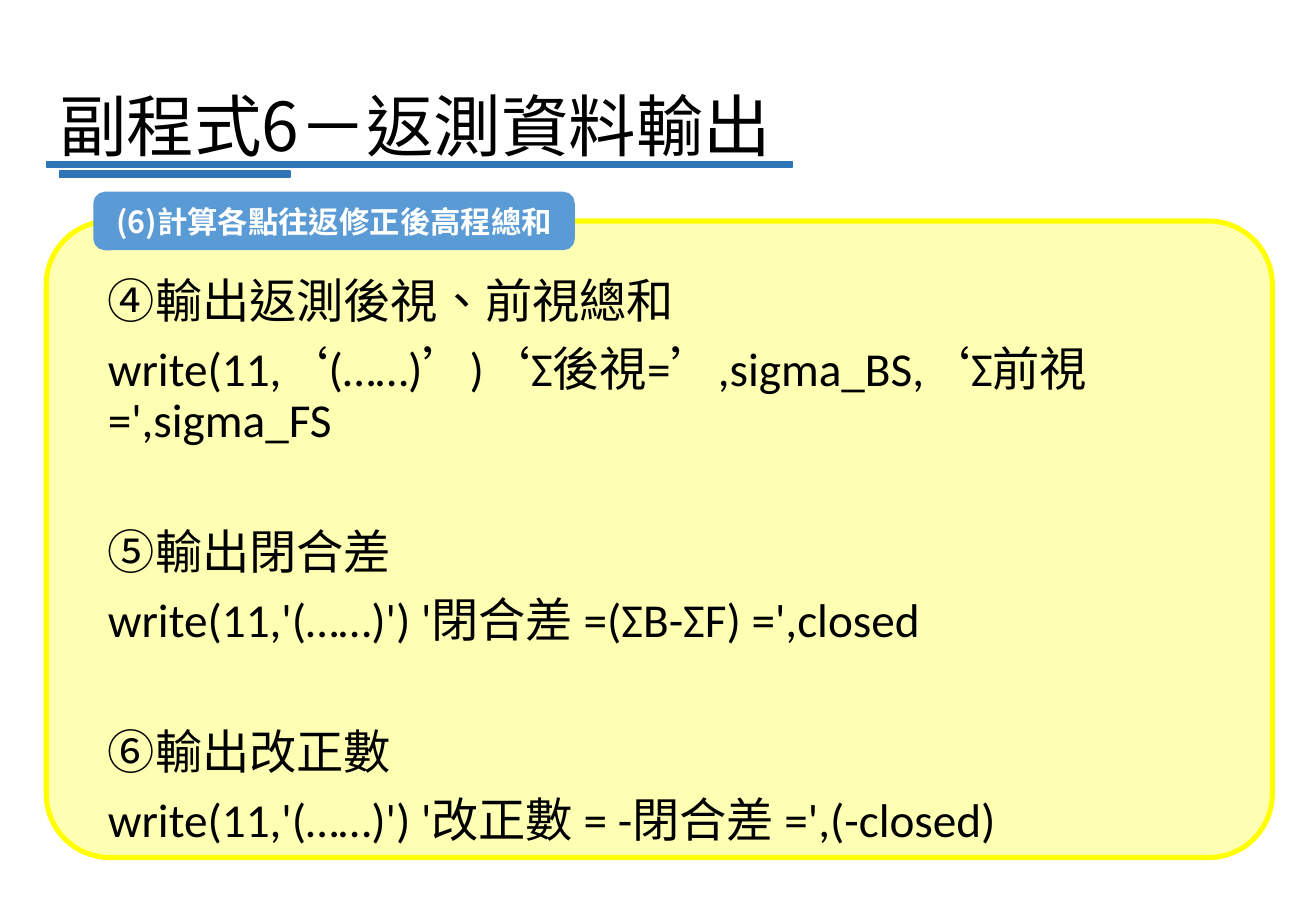
from typing import NamedTuple

from lxml.etree import SubElement
from pptx import Presentation
from pptx.dml.color import RGBColor
from pptx.enum.shapes import MSO_SHAPE
from pptx.enum.text import MSO_ANCHOR
from pptx.oxml.ns import qn
from pptx.shapes.autoshape import Shape
from pptx.slide import Slide
from pptx.text.text import _Paragraph
from pptx.util import Inches, Pt

SLIDE_WIDTH, SLIDE_HEIGHT = Inches(10.83), Inches(7.5)

BLACK = RGBColor(0x00, 0x00, 0x00)
WHITE = RGBColor(0xFF, 0xFF, 0xFF)
PALE_YELLOW = RGBColor(0xFF, 0xFF, 0xB3)
YELLOW = RGBColor(0xFF, 0xFF, 0x00)
DARK_BLUE = RGBColor(0x2E, 0x75, 0xB6)
BLUE = RGBColor(0x5B, 0x9B, 0xD5)

LATIN_FONT = "Calibri"
CHINESE_FONT = "Noto Sans CJK SC"


class Area(NamedTuple):
    """Left, top, width and height as percentages of the slide."""
    left: float
    top: float
    width: float
    height: float

    def lengths(self) -> tuple[int, int, int, int]:
        return (int(SLIDE_WIDTH * self.left / 100), int(SLIDE_HEIGHT * self.top / 100),
                int(SLIDE_WIDTH * self.width / 100), int(SLIDE_HEIGHT * self.height / 100))


class Block(NamedTuple):
    kind: MSO_SHAPE
    area: Area
    fill: RGBColor
    line: RGBColor
    line_width: float
    corner: float = 0


class Step(NamedTuple):
    heading: str
    statement: str


PANEL = Block(MSO_SHAPE.ROUNDED_RECTANGLE, Area(3.51, 24.27, 93.17, 69.87),
              PALE_YELLOW, YELLOW, 3, 0.1)
TAG = Block(MSO_SHAPE.ROUNDED_RECTANGLE, Area(7.29, 21.33, 36.2, 5.87),
            BLUE, BLUE, 3, 0.17)
UNDERLINES = [
    Block(MSO_SHAPE.RECTANGLE, Area(4.52, 18.8, 17.54, 0.67), DARK_BLUE, DARK_BLUE, 1),
    Block(MSO_SHAPE.RECTANGLE, Area(3.6, 17.73, 56.6, 0.67), DARK_BLUE, DARK_BLUE, 1),
]
TITLE_AREA = Area(3.6, 4.53, 93.17, 19.33)
BODY_AREA = Area(7.29, 29.87, 87.9, 59.33)

STEPS = [
    Step("④輸出返測後視、前視總和",
         "write(11,‘(……)’)‘Σ後視=’,sigma_BS,‘Σ前視=',sigma_FS"),
    Step("⑤輸出閉合差", "write(11,'(……)') '閉合差 =(ΣB-ΣF) =',closed"),
    Step("⑥輸出改正數", "write(11,'(……)') '改正數 = -閉合差 =',(-closed)"),
]
LINE_GAP, STEP_GAP = 10, 48


def add_block(slide: Slide, block: Block) -> Shape:
    shape = slide.shapes.add_shape(block.kind, *block.area.lengths())
    shape.shadow.inherit = False
    shape.fill.solid()
    shape.fill.fore_color.rgb = block.fill
    shape.line.color.rgb = block.line
    shape.line.width = Pt(block.line_width)
    if block.corner:
        shape.adjustments[0] = block.corner
    return shape


def add_text_area(slide: Slide, area: Area, anchor: MSO_ANCHOR) -> Shape:
    box = slide.shapes.add_textbox(*area.lengths())
    box.text_frame.word_wrap = True
    box.text_frame.vertical_anchor = anchor
    return box


def write(paragraph: _Paragraph, text: str, size: float, color: RGBColor,
          latin: str = CHINESE_FONT, bold: bool = False) -> None:
    paragraph.text = text
    font = paragraph.font
    font.size, font.bold, font.name = Pt(size), bold, latin
    font.color.rgb = color
    # East Asian typeface and language
    properties = paragraph._p.pPr.find(qn("a:defRPr"))
    SubElement(properties, qn("a:ea")).set("typeface", CHINESE_FONT)
    for run in paragraph.runs:
        run._r.get_or_add_rPr().set("lang", "zh-TW")


def add_steps(slide: Slide) -> None:
    frame = add_text_area(slide, BODY_AREA, MSO_ANCHOR.TOP).text_frame
    for index, step in enumerate(STEPS):
        heading = frame.add_paragraph() if index else frame.paragraphs[0]
        statement = frame.add_paragraph()
        write(heading, step.heading, 28, BLACK)
        write(statement, step.statement, 28, BLACK, LATIN_FONT)
        heading.space_before = Pt(STEP_GAP if index else LINE_GAP)
        statement.space_before = Pt(LINE_GAP)
        heading.line_spacing = statement.line_spacing = 0.9


def main() -> None:
    presentation = Presentation()
    presentation.slide_width, presentation.slide_height = SLIDE_WIDTH, SLIDE_HEIGHT
    slide = presentation.slides.add_slide(presentation.slide_layouts[6])

    # Yellow panel
    add_block(slide, PANEL)

    # Title
    title = add_text_area(slide, TITLE_AREA, MSO_ANCHOR.MIDDLE).text_frame.paragraphs[0]
    write(title, "副程式6－返測資料輸出", 40, BLACK)
    title.line_spacing = 0.9

    # Output steps
    add_steps(slide)

    # Title underlines
    for underline in UNDERLINES:
        add_block(slide, underline)

    # Section tag
    tag = add_block(slide, TAG)
    tag.text_frame.vertical_anchor = MSO_ANCHOR.MIDDLE
    write(tag.text_frame.paragraphs[0], "(6)計算各點往返修正後高程總和", 18, WHITE, bold=True)

    presentation.save("out.pptx")


if __name__ == "__main__":
    main()
